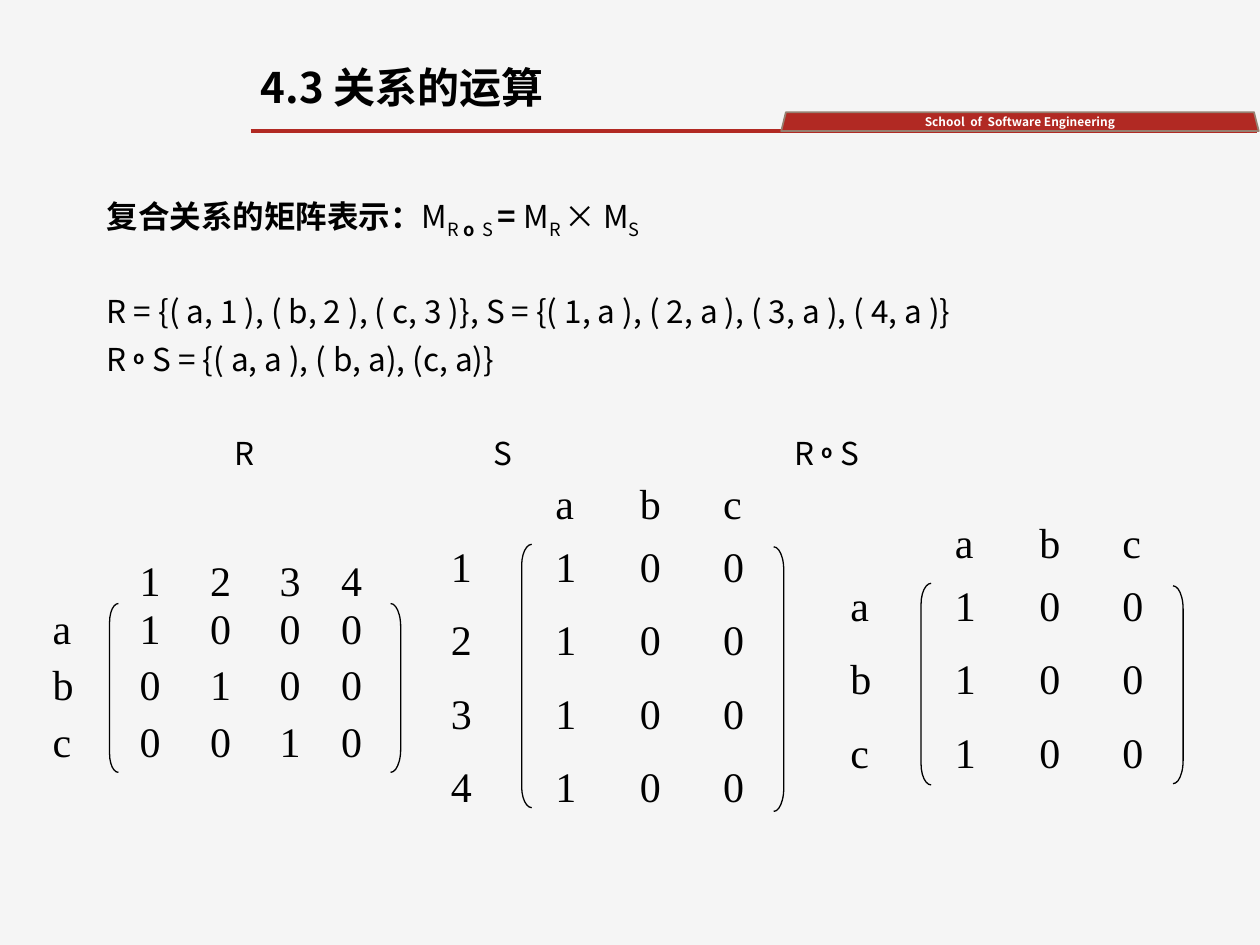
import pptx
import pptx.util
import pptx.dml.color
import pptx.enum.shapes
import pptx.enum.text
import pptx.oxml.ns
import lxml.etree

Inches = pptx.util.Inches
Pt = pptx.util.Pt
qn = pptx.oxml.ns.qn
SHAPE = pptx.enum.shapes.MSO_SHAPE
ANCHOR = pptx.enum.text.MSO_ANCHOR
ALIGN = pptx.enum.text.PP_ALIGN
COLORS = {"background": "F5F5F5", "red": "B12923", "edge": "968071",
          "text": "000000", "white": "FFFFFF"}
SANS = "Noto Sans CJK SC"
SERIF = "Times New Roman"


def rgb(name):
    return pptx.dml.color.RGBColor.from_string(COLORS[name])


def add_text(paragraph, text, size=18, font=SANS, color="text", bold=False, baseline=0):
    run = paragraph.add_run()
    run.text = text
    run.font.size = Pt(size)
    run.font.name = font
    run.font.bold = bold
    run.font.color.rgb = rgb(color)
    properties = run.font._element
    lxml.etree.SubElement(properties, qn("a:ea")).set("typeface", font)
    if baseline:
        properties.set("baseline", str(baseline * 1000))


presentation = pptx.Presentation()
presentation.slide_width = Inches(10)
presentation.slide_height = Inches(7.5)
slide = presentation.slides.add_slide(presentation.slide_layouts[5])
slide.background.fill.solid()
slide.background.fill.fore_color.rgb = rgb("background")

rule = slide.shapes.add_connector(pptx.enum.shapes.MSO_CONNECTOR.STRAIGHT,
                                  Inches(1.99), Inches(1.04), Inches(9.98), Inches(1.04))
rule.line.color.rgb = rgb("red")
rule.line.width = Pt(2)
lxml.etree.SubElement(rule._element.spPr, qn("a:effectLst"))

banner = slide.shapes.add_shape(SHAPE.TRAPEZOID, Inches(6.2), Inches(0.89),
                                Inches(3.79), Inches(0.15))
banner.shadow.inherit = False
banner.fill.solid()
banner.fill.fore_color.rgb = rgb("red")
banner.line.color.rgb = rgb("edge")
banner.line.width = Pt(1)
banner.text_frame.margin_top = banner.text_frame.margin_bottom = 0
banner.text_frame.vertical_anchor = ANCHOR.MIDDLE
banner.text_frame.paragraphs[0].alignment = ALIGN.CENTER
add_text(banner.text_frame.paragraphs[0], "School  of  Software Engineering",
         size=6.8, color="white", bold=True)

title = slide.shapes.title
title.left, title.top = Inches(1.97), Inches(0.48)
title.width, title.height = Inches(4.55), Inches(0.56)
title.text_frame.vertical_anchor = ANCHOR.TOP
title.text_frame.auto_size = pptx.enum.text.MSO_AUTO_SIZE.NONE
title.text_frame.paragraphs[0].alignment = ALIGN.LEFT
title.text_frame.paragraphs[0].line_spacing = 0.9
add_text(title.text_frame.paragraphs[0], "4.3 关系的运算", size=24, bold=True)

sub = {"baseline": -25}
ring = {"bold": True, "baseline": 20}
body_lines = [
    (0, [("复合关系的矩阵表示：", {"bold": True}), ("M", {}), ("R ", sub),
         ("o ", {"bold": True, "baseline": -25}), (" S ", sub), ("=", {"bold": True}),
         (" M", {}), ("R ", sub), ("× M", {}), ("S", sub)]),
    (34.4, [("R = {( a, 1 ), ( b, 2 ), ( c, 3 )}, "
             "S = {( 1, a ), ( 2, a ), ( 3, a ), ( 4, a )}", {})]),
    (7.5, [("R ", {}), ("o", ring), (" S = {( a, a ), ( b, a), (c, a)}", {})]),
    (34.4, [("\tR\tS\tR ", {}), ("o", ring), (" S", {})]),
]
body = slide.shapes.add_textbox(Inches(0.75), Inches(1.52), Inches(8.92), Inches(5.21))
body.text_frame.word_wrap = True
for index, (space_before, runs) in enumerate(body_lines):
    paragraph = body.text_frame.paragraphs[0] if index == 0 else body.text_frame.add_paragraph()
    paragraph.line_spacing = 0.9
    paragraph.space_before = Pt(space_before)
    for text, style in runs:
        add_text(paragraph, text, **style)
tab_list = lxml.etree.SubElement(paragraph._p.get_or_add_pPr(), qn("a:tabLst"))
for position in (1.01, 3.07, 5.46):
    tab = lxml.etree.SubElement(tab_list, qn("a:tab"))
    tab.set("pos", str(Inches(position)))
    tab.set("algn", "l")

matrices = [
    {"columns": "1234", "rows": "abc", "values": ["1000", "0100", "0010"],
     "label_x": 0.32, "column_x": [1.01, 1.57, 2.12, 2.61], "header_y": 4.35,
     "row_y": 4.73, "pitch": 0.45, "cell": (0.49, 0.51),
     "brackets": [(0.87, 4.79, 0.07, 1.34), (3.1, 4.79, 0.08, 1.34)]},
    {"columns": "abc", "rows": "1234", "values": ["100"] * 4,
     "label_x": 3.48, "column_x": [4.31, 4.98, 5.64], "header_y": 3.74,
     "row_y": 4.24, "pitch": 1.75 / 3, "cell": (0.58, 0.5),
     "brackets": [(4.14, 4.32, 0.08, 2.09), (6.14, 4.34, 0.08, 2.1)]},
    {"columns": "abc", "rows": "abc", "values": ["100"] * 3,
     "label_x": 6.65, "column_x": [7.48, 8.15, 8.81], "header_y": 4.05,
     "row_y": 4.55, "pitch": 1.75 / 3, "cell": (0.58, 0.5),
     "brackets": [(7.31, 4.63, 0.08, 1.6), (9.31, 4.65, 0.08, 1.57)]},
]
bracket_kinds = [(SHAPE.LEFT_BRACKET, 2.09), (SHAPE.RIGHT_BRACKET, 2.29)]
for matrix in matrices:
    group = slide.shapes.add_group_shape()
    for (kind, curve), box in zip(bracket_kinds, matrix["brackets"]):
        bracket = group.shapes.add_shape(kind, *map(Inches, box))
        bracket.adjustments[0] = curve
        bracket.shadow.inherit = False
        bracket.fill.background()
        bracket.line.color.rgb = rgb("text")
        bracket.line.width = Pt(0.75)
    entries = [(x, matrix["header_y"], label)
               for x, label in zip(matrix["column_x"], matrix["columns"])]
    for index, (label, values) in enumerate(zip(matrix["rows"], matrix["values"])):
        y = matrix["row_y"] + index * matrix["pitch"]
        entries += [(x, y, text) for x, text in
                    zip([matrix["label_x"]] + matrix["column_x"], label + values)]
    for x, y, text in entries:
        entry = group.shapes.add_textbox(Inches(x), Inches(y), *map(Inches, matrix["cell"]))
        entry.text_frame.word_wrap = True
        entry.text_frame.auto_size = pptx.enum.text.MSO_AUTO_SIZE.SHAPE_TO_FIT_TEXT
        add_text(entry.text_frame.paragraphs[0], text, size=24, font=SERIF)

presentation.save("out.pptx")
